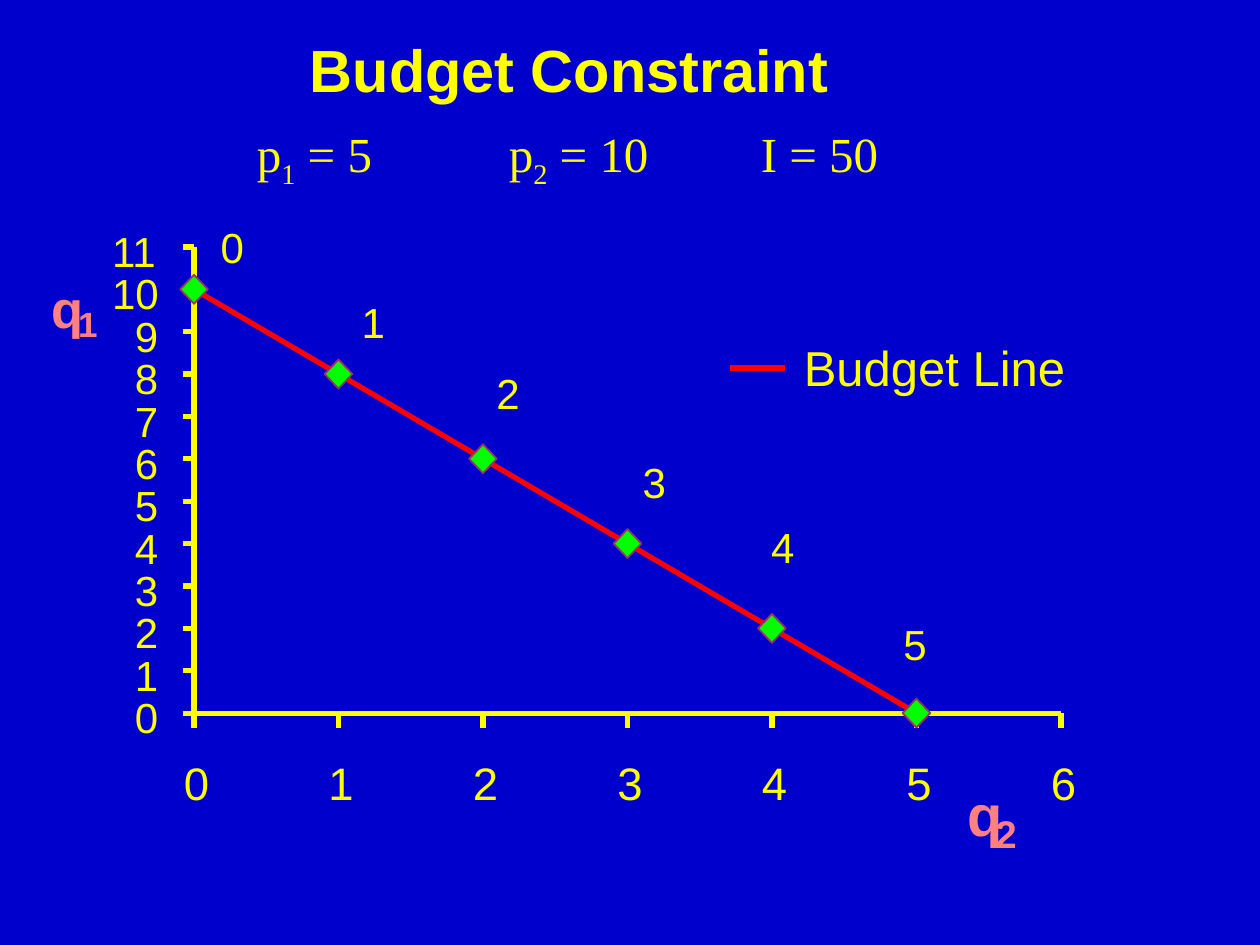
from dataclasses import dataclass
from itertools import pairwise

from lxml.etree import SubElement
from pptx import Presentation
from pptx.dml.color import RGBColor
from pptx.enum.shapes import MSO_CONNECTOR, MSO_SHAPE
from pptx.enum.text import MSO_ANCHOR, MSO_AUTO_SIZE, PP_ALIGN
from pptx.oxml.ns import qn
from pptx.shapes.base import BaseShape
from pptx.slide import Slide
from pptx.text.text import TextFrame
from pptx.util import Inches, Pt


@dataclass(frozen=True)
class Theme:
    background: RGBColor = RGBColor(0x00, 0x00, 0xCC)
    ink: RGBColor = RGBColor(0xFF, 0xFF, 0x00)
    quantity: RGBColor = RGBColor(0xFF, 0x80, 0x80)
    budget: RGBColor = RGBColor(0xFF, 0x00, 0x00)
    marker: RGBColor = RGBColor(0x00, 0xFF, 0x00)
    marker_edge: RGBColor = RGBColor(0x99, 0x33, 0x66)
    sans: str = "Arial"
    serif: str = "Times New Roman"
    title_size: int = 34
    body_size: int = 28
    tick_size: int = 24
    wide_tick_size: int = 26
    line_width: float = 3
    edge_width: float = 1


THEME = Theme()


@dataclass(frozen=True)
class Point:
    x: float
    y: float


@dataclass(frozen=True)
class Label:
    text: str
    left: float
    top: float
    width: float
    height: float
    size: int = THEME.tick_size
    color: RGBColor = THEME.ink
    bold: bool = False


ORIGIN = Point(1.54, 5.66)
AXIS_WIDTH, AXIS_HEIGHT = 6.88, 3.7
Q2_MAX, Q1_MAX = 6, 11
PRICE_1, PRICE_2, INCOME = 5, 10, 50
Q1_TICK, Q2_TICK = 0.09, 0.12
MARKER_WIDTH, MARKER_HEIGHT = 0.22, 0.23
DIGIT_WIDTH, TICK_LABEL_HEIGHT = 0.19, 0.4
POINT_LABEL_CORNERS = [
    Point(1.75, 1.76), Point(2.87, 2.35), Point(3.94, 2.92),
    Point(5.1, 3.62), Point(6.12, 4.14), Point(7.17, 4.91),
]
QUANTITY_LABELS = [
    Label("q", 7.68, 6.18, 0.28, 0.55, 33, THEME.quantity, True),
    Label("2", 7.9, 6.43, 0.17, 0.37, 22, THEME.quantity, True),
    Label("q", 0.41, 2.19, 0.26, 0.5, 30, THEME.quantity, True),
    Label("1", 0.62, 2.4, 0.16, 0.33, 20, THEME.quantity, True),
]
PRICE_PARTS = [
    ("p", False), ("1", True), (" = 5 \tp", False), ("2", True),
    (" = 10 \tI = 50", False),
]


def apply_format(target: object, values: dict) -> None:
    for attribute, value in values.items():
        setattr(target, attribute, value)


def place(shape: BaseShape, left: float, top: float, width: float, height: float) -> None:
    apply_format(shape, {
        "left": Inches(left), "top": Inches(top),
        "width": Inches(width), "height": Inches(height),
    })


def set_frame(frame: TextFrame, inset_x: float = 0, inset_y: float = 0) -> None:
    apply_format(frame, {
        "margin_left": Inches(inset_x), "margin_right": Inches(inset_x),
        "margin_top": Inches(inset_y), "margin_bottom": Inches(inset_y),
        "word_wrap": True, "auto_size": MSO_AUTO_SIZE.SHAPE_TO_FIT_TEXT,
        "vertical_anchor": MSO_ANCHOR.TOP,
    })


def write_label(shape: BaseShape, label: Label) -> None:
    place(shape, label.left, label.top, label.width, label.height)
    set_frame(shape.text_frame)
    paragraph = shape.text_frame.paragraphs[0]
    paragraph.alignment = PP_ALIGN.LEFT
    run = paragraph.add_run()
    run.text = label.text
    apply_format(run.font, {"size": Pt(label.size), "name": THEME.sans, "bold": label.bold})
    run.font.color.rgb = label.color


def add_label(slide: Slide, label: Label) -> None:
    write_label(slide.shapes.add_textbox(0, 0, 0, 0), label)


def add_line(slide: Slide, start: Point, end: Point, color: RGBColor) -> None:
    line = slide.shapes.add_connector(
        MSO_CONNECTOR.STRAIGHT,
        Inches(start.x), Inches(start.y), Inches(end.x), Inches(end.y),
    )
    line.line.color.rgb = color
    line.line.width = Pt(THEME.line_width)
    SubElement(line._element.spPr, qn("a:effectLst"))


def locate(q2: float, q1: float) -> Point:
    return Point(
        ORIGIN.x + q2 * AXIS_WIDTH / Q2_MAX,
        ORIGIN.y - q1 * AXIS_HEIGHT / Q1_MAX,
    )


def add_axes(slide: Slide) -> None:
    add_line(slide, locate(0, Q1_MAX), ORIGIN, THEME.ink)
    add_line(slide, ORIGIN, locate(Q2_MAX, 0), THEME.ink)
    for q1 in range(Q1_MAX + 1):
        tick = locate(0, q1)
        add_line(slide, Point(tick.x - Q1_TICK, tick.y), tick, THEME.ink)
        digits = len(str(q1))
        add_label(slide, Label(
            str(q1), 1.25 - 0.18 * digits, tick.y - 0.17,
            DIGIT_WIDTH * digits, TICK_LABEL_HEIGHT,
        ))
    for q2 in range(Q2_MAX + 1):
        tick = locate(q2, 0)
        add_line(slide, Point(tick.x, tick.y + Q2_TICK), tick, THEME.ink)
        add_label(slide, Label(
            str(q2), tick.x - 0.08, 5.99, 0.2, 0.43, THEME.wide_tick_size,
        ))


def add_marker(slide: Slide, center: Point) -> None:
    marker = slide.shapes.add_shape(MSO_SHAPE.DIAMOND, 0, 0, 0, 0)
    place(
        marker, center.x - MARKER_WIDTH / 2, center.y - MARKER_HEIGHT / 2,
        MARKER_WIDTH, MARKER_HEIGHT,
    )
    marker.shadow.inherit = False
    marker.fill.solid()
    marker.fill.fore_color.rgb = THEME.marker
    marker.line.color.rgb = THEME.marker_edge
    marker.line.width = Pt(THEME.edge_width)


def add_budget_line(slide: Slide) -> None:
    bundles = [
        locate(q2, (INCOME - PRICE_2 * q2) / PRICE_1)
        for q2 in range(INCOME // PRICE_2 + 1)
    ]
    for start, end in pairwise(bundles):
        add_line(slide, start, end, THEME.budget)
    for q2, (bundle, corner) in enumerate(zip(bundles, POINT_LABEL_CORNERS)):
        add_marker(slide, bundle)
        add_label(slide, Label(str(q2), corner.x, corner.y, DIGIT_WIDTH, TICK_LABEL_HEIGHT))
    add_line(slide, Point(5.79, 2.92), Point(6.23, 2.92), THEME.budget)
    add_label(slide, Label("Budget Line", 6.38, 2.68, 2.15, 0.47, THEME.body_size))


def add_prices(slide: Slide) -> None:
    prices = slide.shapes.add_textbox(0, 0, 0, 0)
    place(prices, 1.94, 0.93, 5.13, 0.63)
    set_frame(prices.text_frame, 0.1, 0.05)
    paragraph = prices.text_frame.paragraphs[0]
    tab_stops = SubElement(paragraph._p.get_or_add_pPr(), qn("a:tabLst"))
    for stop in (2, 4):
        SubElement(tab_stops, qn("a:tab"), pos=str(Inches(stop)), algn="l")
    for text, is_subscript in PRICE_PARTS:
        run = paragraph.add_run()
        run.text = text
        apply_format(run.font, {"size": Pt(THEME.body_size), "name": THEME.serif})
        run.font.color.rgb = THEME.ink
        if is_subscript:
            run.font._element.set("baseline", "-25000")


def main() -> None:
    deck = Presentation()
    apply_format(deck, {"slide_width": Inches(10), "slide_height": Inches(7.5)})
    slide = deck.slides.add_slide(deck.slide_layouts.get_by_name("Title Only"))
    slide.background.fill.solid()
    slide.background.fill.fore_color.rgb = THEME.background
    write_label(slide.shapes.title, Label(
        "Budget Constraint", 2.46, 0.26, 4.2, 0.57, THEME.title_size, bold=True,
    ))
    add_prices(slide)
    add_axes(slide)
    for label in QUANTITY_LABELS:
        add_label(slide, label)
    add_budget_line(slide)
    deck.save("out.pptx")


if __name__ == "__main__":
    main()
